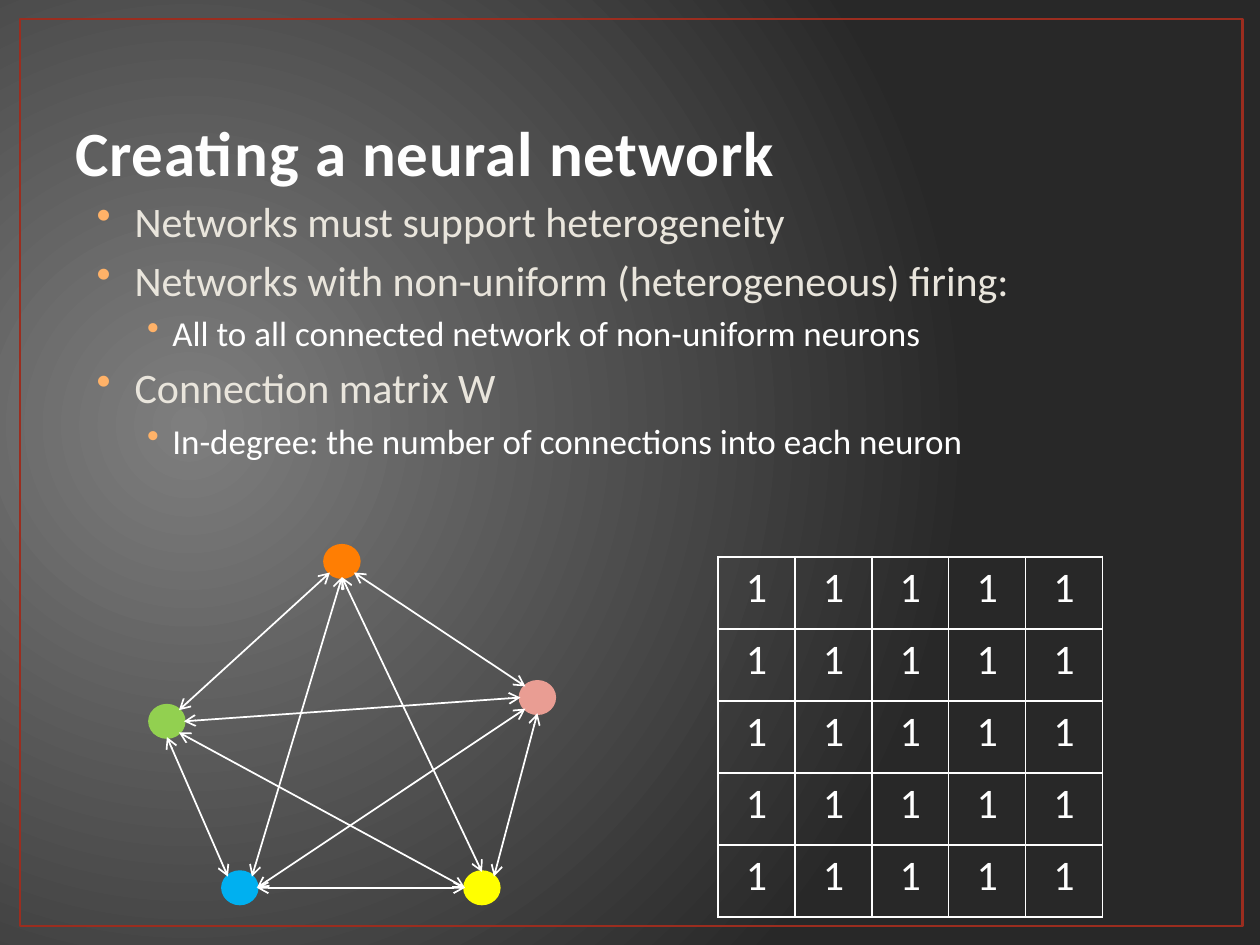
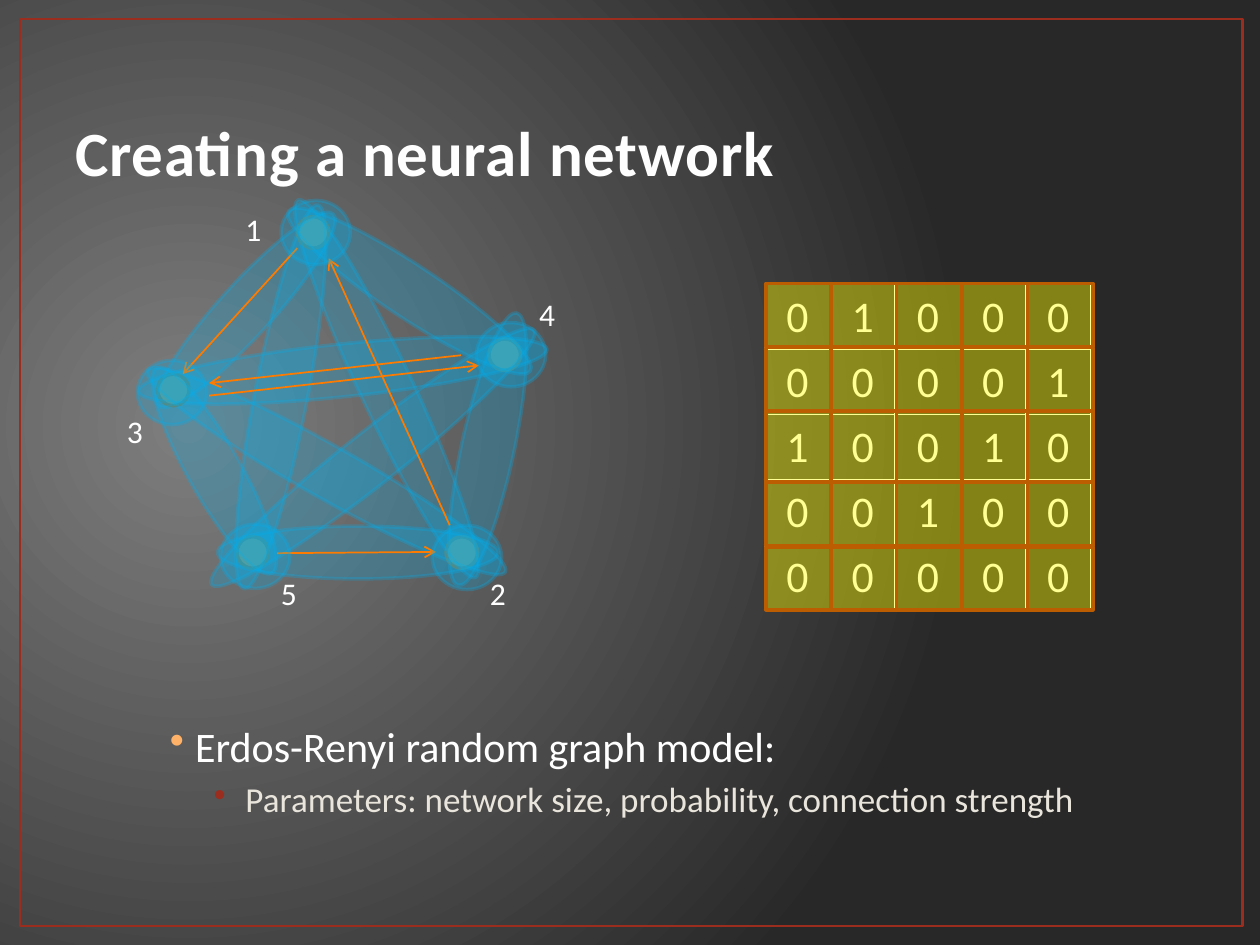
from math import sqrt

from lxml.etree import SubElement
from pptx import Presentation
from pptx.dml.color import RGBColor
from pptx.enum.shapes import MSO_CONNECTOR as Connector, MSO_SHAPE as Shape
from pptx.enum.text import MSO_ANCHOR as Anchor, PP_ALIGN as Align
from pptx.oxml.ns import qn
from pptx.util import Pt

FONT = "Calibri"
WHITE, CREAM, PEACH, RED = "FFFFFF", "E9E5DC", "FFB268", "9B2D1F"
ORANGE, RUST, BLUE, YELLOW = "FF7E03", "BD5D02", "00B0F0", "FFFF00"
PINK, GREEN, ARROW_ORANGE = "E99D93", "92D050", "FC7B00"
TITLE = "Creating a neural network"

# Bullet styles: indent, hanging, size, text colour, bullet colour
TOP_BULLET = (21.6, 21.6, 24, CREAM, PEACH)
SUB_BULLET = (43.2, 14.4, 20, WHITE, PEACH)
LEAD_BULLET = (43.2, 14.4, 24, WHITE, PEACH)
DETAIL_BULLET = (72, 18, 20, CREAM, RED)


def rgb(color):
    return RGBColor.from_string(color)


def points(*values):
    return [Pt(value) for value in values]


# Basic parts
def add_box(slide, kind, box, fill, line, width=2, fill_alpha=100, line_alpha=100):
    shape = slide.shapes.add_shape(kind, *points(*box))
    shape.shadow.inherit = False
    alphas = [line_alpha]
    if fill:
        shape.fill.solid()
        shape.fill.fore_color.rgb = rgb(fill)
        alphas.insert(0, fill_alpha)
    else:
        shape.fill.background()
    shape.line.color.rgb = rgb(line)
    shape.line.width = Pt(width)
    colors = list(shape.element.spPr.iter(qn("a:srgbClr")))
    for color, alpha in zip(colors, alphas):
        if alpha < 100:
            SubElement(color, qn("a:alpha")).set("val", str(alpha * 1000))
    return shape


def add_arrow(slide, start, end, color, both_ends=False):
    connector = slide.shapes.add_connector(Connector.STRAIGHT, *points(*start, *end))
    connector.line.color.rgb = rgb(color)
    connector.line.width = Pt(1)
    line = connector.line._get_or_add_ln()
    for tag in ("a:headEnd", "a:tailEnd") if both_ends else ("a:tailEnd",):
        SubElement(line, qn(tag)).set("type", "arrow")
    SubElement(connector.element.spPr, qn("a:effectLst"))


def style_text(paragraph, size, color, bold=False):
    for run in paragraph.runs:
        run.font.name = FONT
        run.font.size = Pt(size)
        run.font.bold = bold
        run.font.color.rgb = rgb(color)


def add_text(slide, box, text, size, color, bold=False, wrap=True):
    text_frame = slide.shapes.add_textbox(*points(*box)).text_frame
    text_frame.word_wrap = wrap
    text_frame.text = text
    style_text(text_frame.paragraphs[0], size, color, bold)
    return text_frame


# Background, frame and title of every slide
def add_base_slide(presentation):
    slide = presentation.slides.add_slide(presentation.slide_layouts[6])
    fill = slide.background.fill
    fill.gradient()
    for stop, color, position in zip(fill.gradient_stops, ("7E7E7E", "282828"), (0, 1)):
        stop.color.rgb = rgb(color)
        stop.position = position
    gradient = next(slide.element.iter(qn("a:gradFill")))
    gradient.remove(gradient.find(qn("a:lin")))
    circle = SubElement(gradient, qn("a:path"))
    circle.set("path", "circle")
    center = SubElement(circle, qn("a:fillToRect"))
    for side, percent in zip("ltrb", (15, 50, 85, 60)):
        center.set(side, str(percent * 1000))

    add_box(slide, Shape.RECTANGLE, (11.5, 10.8, 698.4, 518.4), None, RED, 1.5)
    title = add_text(slide, (36, 21.6, 648, 90), TITLE, 36, "FEFEFE", bold=True)
    title.vertical_anchor = Anchor.BOTTOM
    title.paragraphs[0].runs[0].font._element.set("spc", "50")
    return slide


def add_bullets(slide, box, items):
    text_frame = add_text(slide, box, "\n".join(text for text, _ in items), 24, WHITE)
    for paragraph, (_, style) in zip(text_frame.paragraphs, items):
        indent, hanging, size, color, bullet_color = style
        style_text(paragraph, size, color)
        paragraph.space_before = Pt(size * 0.2)
        properties = paragraph._p.get_or_add_pPr()
        properties.set("marL", str(Pt(indent)))
        properties.set("indent", str(-Pt(hanging)))
        tint = SubElement(properties, qn("a:buClr"))
        SubElement(tint, qn("a:srgbClr")).set("val", bullet_color)
        SubElement(properties, qn("a:buChar")).set("char", "•")


# Connection matrix W
def add_matrix(slide, box, rows, size):
    count = len(rows)
    table = slide.shapes.add_table(count, count, *points(*box)).table
    table.first_row = table.horz_banding = False
    for index in range(count):
        table.columns[index].width = Pt(box[2] / count)
        table.rows[index].height = Pt(box[3] / count)
    for row_index, row in enumerate(rows):
        for column_index, value in enumerate(row):
            cell = table.cell(row_index, column_index)
            cell.margin_top = cell.margin_bottom = Pt(3.4)
            cell.text_frame.text = value
            paragraph = cell.text_frame.paragraphs[0]
            paragraph.alignment = Align.CENTER
            style_text(paragraph, size, WHITE)
            add_borders(cell)
            cell.fill.background()


def add_borders(cell):
    properties = cell._tc.get_or_add_tcPr()
    for tag in ("a:lnL", "a:lnR", "a:lnT", "a:lnB"):
        border = SubElement(properties, qn(tag))
        border.set("w", str(Pt(1)))
        fill = SubElement(border, qn("a:solidFill"))
        SubElement(fill, qn("a:srgbClr")).set("val", WHITE)


def add_cell_highlights(slide, left, top):
    row_tops = (0, 36.7, 73.2, 113.8, 150.5)
    row_heights = (36, 36, 40.3, 36, 36)
    for row_top, height in zip(row_tops, row_heights):
        for column in range(5):
            box = (left + 37.4 * column, top + row_top, 37.4, height)
            add_box(slide, Shape.RECTANGLE, box, YELLOW, RUST, fill_alpha=42)


# All-to-all network: links join compass points on the rims of the nodes
def add_full_network(slide, left, top):
    width, height = 19.4, 18
    nodes = {
        ORANGE: (100, 0), BLUE: (41.7, 186.5), PINK: (211.7, 77.8),
        GREEN: (0, 91.4), YELLOW: (180, 186.5),
    }
    links = [
        (ORANGE, "SE", PINK, "NW"), (GREEN, "NE", ORANGE, "SW"),
        (ORANGE, "S", YELLOW, "N"), (ORANGE, "S", BLUE, "NE"),
        (GREEN, "E", PINK, "W"), (BLUE, "E", PINK, "SW"),
        (YELLOW, "NE", PINK, "S"), (GREEN, "SE", YELLOW, "W"),
        (YELLOW, "W", BLUE, "E"), (BLUE, "NW", GREEN, "S"),
    ]

    def rim_point(node, side):
        x, y = nodes[node]
        scale = 1 / sqrt(len(side))
        across = ("E" in side) - ("W" in side)
        down = ("S" in side) - ("N" in side)
        return (left + x + width / 2 * (1 + across * scale),
                top + y + height / 2 * (1 + down * scale))

    for color, (x, y) in nodes.items():
        add_box(slide, Shape.OVAL, (left + x, top + y, width, height), color, color)
    for start, start_side, end, end_side in links:
        add_arrow(slide, rim_point(start, start_side), rim_point(end, end_side),
                  WHITE, both_ends=True)


# Random network: candidate links as pale bands, chosen links as arrows
def add_random_network(slide, left, top):
    # Label: node, text and halo corners
    nodes = {
        "1": ((104.9, 8.8), (68.2, 1.6), (95.6, -0.5)),
        "5": ((70.4, 191.7), (88.4, 209.7), (61, 184.5)),
        "4": ((214.4, 78.7), (236, 49.9), (207.2, 69.3)),
        "3": ((25, 98.8), (0.5, 116.8), (13.5, 90.9)),
        "2": ((189.9, 191.7), (207.9, 209.7), (182, 185.2)),
    }
    # Left, top, length, rotation
    bands = [
        (140.9, -12, 238.3, 334.8), (80.4, 0.2, 223.2, 10.9),
        (60.3, -12, 148.3, 42.3), (153.9, -31.5, 165.6, 303.5),
        (115.7, -20.7, 234.7, 84.1), (124.4, 120.4, 160.6, 90),
        (133, 29, 234.7, 51.7), (106.4, 36.9, 234.7, 119.4),
        (42.3, 86.6, 134.6, 150.6), (198.5, 62.1, 159.1, 12.1),
    ]
    arrows = [
        ((104.9, 26.8), (39.4, 98.8)), ((54.5, 111.1), (208.6, 93.8)),
        ((198.5, 88), (54.5, 103.9)), ((93.4, 201.1), (184.1, 200.4)),
        ((192, 185.2), (122.9, 32.6)),
    ]

    def place(corner):
        return left + corner[0], top + corner[1]

    def add_glow(corner, width, height):
        return add_box(slide, Shape.OVAL, (*place(corner), width, height), BLUE, BLUE,
                       fill_alpha=25, line_alpha=25)

    for label, (node, text, _) in nodes.items():
        add_box(slide, Shape.OVAL, (*place(node), 18, 18), ORANGE, RUST)
        add_text(slide, (*place(text), 24.5, 28.8), label, 18, WHITE, wrap=False)
    for x, y, length, rotation in bands:
        add_glow((x, y), 30.2, length).rotation = rotation
    for start, end in arrows:
        add_arrow(slide, place(start), place(end), ARROW_ORANGE)
    for _, _, halo in nodes.values():
        add_glow(halo, 39.6, 36.7)


def build_full_slide(presentation):
    slide = add_base_slide(presentation)
    add_matrix(slide, (410.4, 318.2, 219.6, 206), ["11111"] * 5, 24)
    add_full_network(slide, 85.7, 311.8)
    add_bullets(slide, (48.2, 108, 606.2, 185.8), [
        ("Networks must support heterogeneity", TOP_BULLET),
        ("Networks with non-uniform (heterogeneous) firing:", TOP_BULLET),
        ("All to all connected network of non-uniform neurons", SUB_BULLET),
        ("Connection matrix W", TOP_BULLET),
        ("In-degree: the number of connections into each neuron", SUB_BULLET),
    ])


def build_random_slide(presentation):
    slide = add_base_slide(presentation)
    add_bullets(slide, (61.2, 408.2, 564.5, 77.8), [
        ("Erdos-Renyi random graph model:", LEAD_BULLET),
        ("Parameters: network size, probability, connection strength", DETAIL_BULLET),
    ])
    add_random_network(slide, 65, 115)
    add_matrix(slide, (437, 162.7, 186.5, 185.8),
               ["01000", "00001", "10010", "00100", "00000"], 25)
    add_cell_highlights(slide, 437.6, 162)


def main():
    presentation = Presentation()
    presentation.slide_width, presentation.slide_height = points(720, 540)
    build_full_slide(presentation)
    build_random_slide(presentation)
    presentation.save("out.pptx")


if __name__ == "__main__":
    main()
